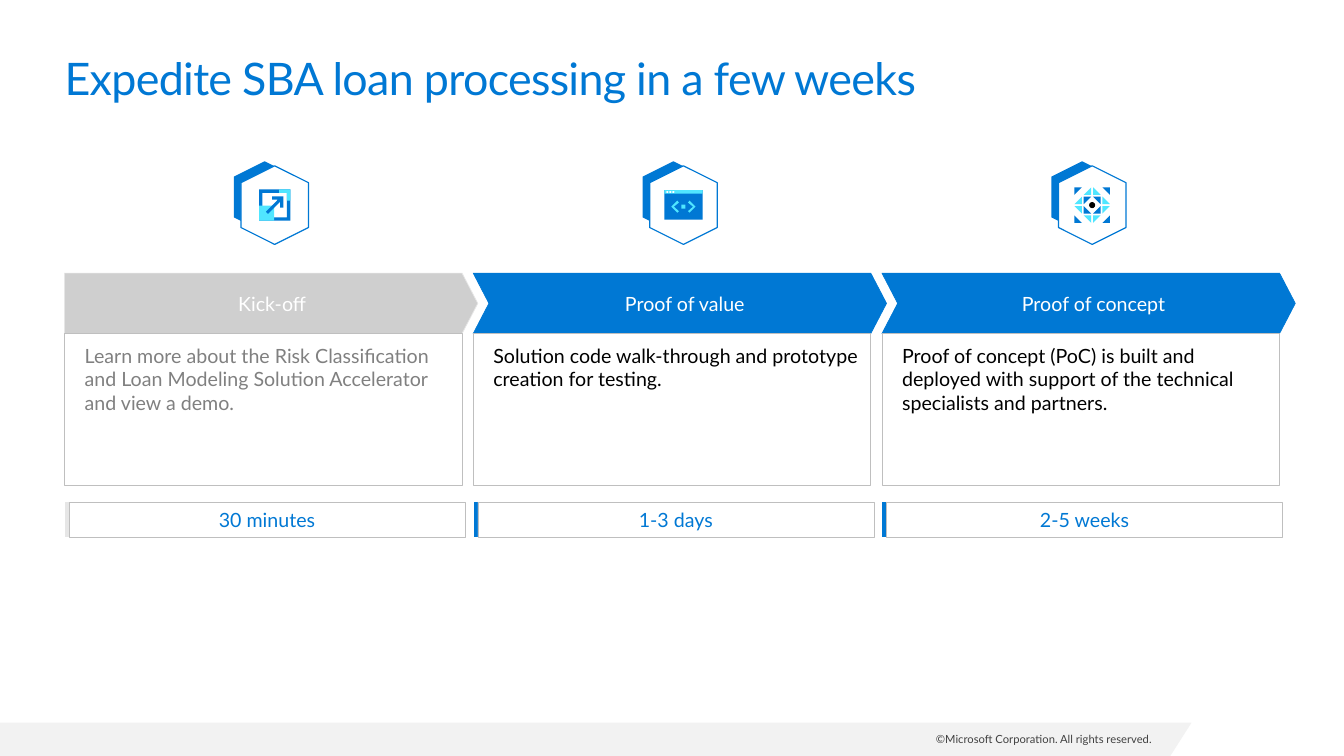
"""Build the slide of three loan-processing steps on a grid of tenth-inch cells."""
from dataclasses import dataclass
from itertools import product
from typing import Callable

from lxml.etree import SubElement
from pptx import Presentation
from pptx.dml.color import RGBColor
from pptx.enum.shapes import MSO_CONNECTOR, MSO_SHAPE
from pptx.enum.text import MSO_ANCHOR, PP_ALIGN
from pptx.oxml.ns import qn
from pptx.util import Emu, Inches, Pt

Point = tuple[float, float]
Box = tuple[float, float, float, float]
CELL = Inches(0.1)
PAGE_COLUMNS, PAGE_ROWS = 133.33, 75
FIRST_COLUMN, STEP_COLUMNS = 6.4, 40.55
ICON_COLUMN, ICON_ROW = 20.85, 20.35
BODY_INSETS = (2, 1, 1, 0.5)
BAND_INSETS = (1, 0.5, 0, 0.5)
LABEL_INSETS = (1, 0.5, 1, 0.5)
NO_INSETS = (0, 0, 0, 0)


@dataclass(frozen=True)
class Theme:
    font: str = "Lato"
    blue: str = "0078D4"
    cyan: str = "50E6FF"
    white: str = "FFFFFF"
    black: str = "000000"
    muted: str = "808080"
    muted_band: str = "CFCFCF"
    pale: str = "E6E6E6"
    border: str = "BFBFBF"
    footer_band: str = "F2F2F2"
    footer_ink: str = "404040"
    title_size: float = 32
    text_size: float = 14
    footer_size: float = 8


THEME = Theme()


@dataclass(frozen=True)
class Step:
    name: str
    detail: str
    duration: str
    outline: MSO_SHAPE
    band: str
    mark: str
    ink: str
    icon: Callable


def cells(count: float) -> Emu:
    return Emu(round(count * CELL))


def color(value: str) -> RGBColor:
    return RGBColor.from_string(value)


def paint(shape, fill: str | None, line: str | None = None, width: float = 0) -> None:
    shape.shadow.inherit = False
    if fill:
        shape.fill.solid()
        shape.fill.fore_color.rgb = color(fill)
    else:
        shape.fill.background()
    if line:
        shape.line.color.rgb = color(line)
        shape.line.width = Pt(width)
    else:
        shape.line.fill.background()


def add_preset(shapes, kind: MSO_SHAPE, box: Box, fill: str | None,
               line: str | None = None, width: float = 0):
    shape = shapes.add_shape(kind, *map(cells, box))
    paint(shape, fill, line, width)
    return shape


def add_outline(shapes, center: Point, fill: str, *contours: list[Point]) -> None:
    builder = None
    for contour in contours:
        points = [(cells(center[0] + x), cells(center[1] + y)) for x, y in contour]
        if builder is None:
            builder = shapes.build_freeform(*points[0])
        else:
            builder.move_to(*points[0])
        builder.add_line_segments(points[1:], close=True)
    paint(builder.convert_to_shape(), fill)


def write(shape, text: str, ink: str, size: float, insets: Box,
          align: PP_ALIGN = PP_ALIGN.LEFT, anchor: MSO_ANCHOR = MSO_ANCHOR.TOP):
    frame = shape.text_frame
    frame.word_wrap = True
    frame.vertical_anchor = anchor
    (frame.margin_left, frame.margin_top,
     frame.margin_right, frame.margin_bottom) = map(cells, insets)
    para = frame.paragraphs[0]
    para.alignment = align
    span = para.add_run()
    span.text = text
    span.font.name = THEME.font
    span.font.size = Pt(size)
    span.font.color.rgb = color(ink)
    return span


def square(half: float) -> list[Point]:
    return [(-half, -half), (half, -half), (half, half), (-half, half)]


def draw_launch(shapes, x: float, y: float) -> None:
    center = (x, y)
    add_outline(shapes, center, THEME.blue, square(1.55)[::-1], square(1.22))
    add_preset(shapes, MSO_SHAPE.RECTANGLE, (x - 1.55, y + 0.05, 1.5, 1.5), THEME.cyan)
    add_outline(shapes, center, THEME.cyan,
                [(0.45, -1.55), (0.45, -1.22), (1.22, -1.22),
                 (1.22, -0.45), (1.55, -0.45), (1.55, -1.55)])
    add_outline(shapes, center, THEME.blue,
                [(0.87, -0.87), (-0.25, -0.87), (-0.25, -0.55), (0.33, -0.55), (-0.87, 0.65),
                 (-0.65, 0.87), (0.55, -0.33), (0.55, 0.25), (0.87, 0.25)])


def draw_code_window(shapes, x: float, y: float) -> None:
    for height, fill in ((2.95, THEME.blue), (0.35, THEME.cyan)):
        add_preset(shapes, MSO_SHAPE.RECTANGLE, (x - 1.9, y - 1.5, 3.8, height), fill)
    for button in range(3):
        add_preset(shapes, MSO_SHAPE.OVAL, (x - 1.7 + 0.3 * button, y - 1.4, 0.2, 0.2), THEME.white)
    add_preset(shapes, MSO_SHAPE.RECTANGLE, (x - 0.2, y - 0.05, 0.4, 0.4), THEME.cyan)
    bracket = [(0.6, -0.45), (0.45, -0.25), (0.95, 0.15), (0.45, 0.6), (0.6, 0.75), (1.2, 0.15)]
    for side in (1, -1):
        add_outline(shapes, (x, y), THEME.cyan, [(side * across, down) for across, down in bracket])


def draw_mosaic(shapes, x: float, y: float) -> None:
    right_angles = ((0, 2, 3, 1), (2, 0, 1, 3), (1, 3, 2, 0), (3, 1, 0, 2))
    half, pitch = 0.37, 0.93
    for row, column in product(range(4), repeat=2):
        corners = square(half)
        del corners[(right_angles[row][column] + 2) % 4]
        center = (x + (column - 1.5) * pitch, y + (row - 1.5) * pitch)
        fill = THEME.blue if column in (row, 3 - row) else THEME.cyan
        add_outline(shapes, center, fill, corners)
    add_preset(shapes, MSO_SHAPE.OVAL, (x - 0.3, y - 0.3, 0.6, 0.6), THEME.black)


def draw_icon(page, left: float, icon: Callable) -> None:
    shapes = page.shapes.add_group_shape().shapes
    x, y = left + ICON_COLUMN, ICON_ROW
    back = add_preset(shapes, MSO_SHAPE.HEXAGON, (x - 4.55, y - 3.85, 7.1, 6.1), THEME.blue)
    front = add_preset(shapes, MSO_SHAPE.HEXAGON, (x - 3.9, y - 3.35, 7.8, 6.7),
                       THEME.white, THEME.blue, 0.85)
    for hexagon in (back, front):
        hexagon.rotation = 90
        hexagon.adjustments[0] = 0.25
    icon(shapes, x, y)


def draw_step(page, left: float, step: Step) -> None:
    draw_icon(page, left, step.icon)
    band = add_preset(page.shapes, step.outline, (left, 27.1, 41, 6), step.band, step.mark, 0.5)
    band.adjustments[0] = 0.26
    write(band, step.name, THEME.white, THEME.text_size, BAND_INSETS,
          PP_ALIGN.CENTER, MSO_ANCHOR.MIDDLE)
    body = add_preset(page.shapes, MSO_SHAPE.RECTANGLE, (left, 33.1, 39.45, 15.1),
                      None, THEME.border, 0.5)
    write(body, step.detail, step.ink, THEME.text_size, BODY_INSETS)
    mark = page.shapes.add_connector(
        MSO_CONNECTOR.STRAIGHT, *map(cells, (left + 0.25, 49.8, left + 0.25, 53.3)))
    mark.line.color.rgb = color(step.mark)
    mark.line.width = Pt(3)
    SubElement(mark._element.spPr, qn("a:effectLst"))
    label = add_preset(page.shapes, MSO_SHAPE.RECTANGLE, (left + 0.45, 49.8, 39.3, 3.5),
                       THEME.white, THEME.border, 0.25)
    write(label, step.duration, THEME.blue, THEME.text_size, LABEL_INSETS,
          PP_ALIGN.CENTER, MSO_ANCHOR.MIDDLE)


STEPS = (
    Step("Kick-off",
         "Learn more about the Risk Classification and Loan Modeling Solution Accelerator "
         "and view a demo.",
         "30 minutes", MSO_SHAPE.PENTAGON, THEME.muted_band, THEME.pale, THEME.muted, draw_launch),
    Step("Proof of value",
         "Solution code walk-through and prototype creation for testing.",
         "1-3 days", MSO_SHAPE.CHEVRON, THEME.blue, THEME.blue, THEME.black, draw_code_window),
    Step("Proof of concept",
         "Proof of concept (PoC) is built and deployed with support of the technical "
         "specialists and partners.",
         "2-5 weeks", MSO_SHAPE.CHEVRON, THEME.blue, THEME.blue, THEME.black, draw_mosaic),
)


def main() -> None:
    deck = Presentation()
    deck.slide_width, deck.slide_height = cells(PAGE_COLUMNS), cells(PAGE_ROWS)
    page = deck.slides.add_slide(deck.slide_layouts[6])
    add_outline(page.shapes, (0, 0), THEME.footer_band,
                [(0, 71.7), (118.2, 71.7), (116.1, PAGE_ROWS), (0, PAGE_ROWS)])
    footer = page.shapes.add_textbox(*map(cells, (75.5, 72.7, 38.8, 1.3)))
    write(footer, "©Microsoft Corporation. All rights reserved.", THEME.footer_ink,
          THEME.footer_size, NO_INSETS, PP_ALIGN.RIGHT)
    title = page.shapes.add_textbox(*map(cells, (FIRST_COLUMN, 5, 120.5, 5.4)))
    span = write(title, "Expedite SBA loan processing in a few weeks", THEME.blue,
                 THEME.title_size, NO_INSETS)
    span._r.get_or_add_rPr().set("spc", "-50")
    for index, step in enumerate(STEPS):
        draw_step(page, FIRST_COLUMN + index * STEP_COLUMNS, step)
    deck.save("out.pptx")


if __name__ == "__main__":
    main()
